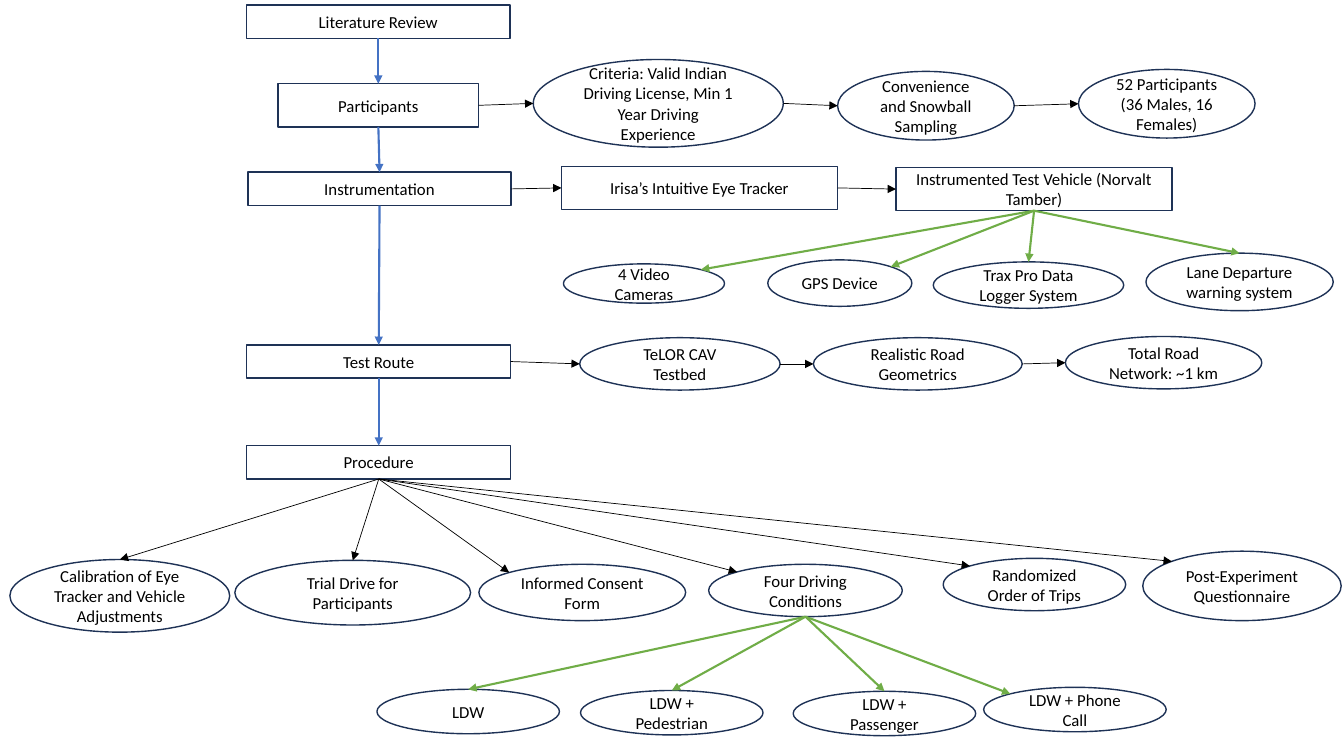
from dataclasses import dataclass
from enum import Enum
from math import sqrt

from lxml.etree import SubElement
from pptx import Presentation
from pptx.dml.color import RGBColor
from pptx.enum.shapes import MSO_CONNECTOR, MSO_SHAPE
from pptx.enum.text import MSO_ANCHOR, PP_ALIGN
from pptx.oxml.ns import qn
from pptx.shapes.autoshape import Shape
from pptx.slide import Slide
from pptx.util import Cm, Pt

FONT = "Calibri"
WHITE, BLACK, NAVY = "FFFFFF", "000000", "1E3256"
BLUE, GREEN = "4472C4", "70AD47"
RECT, OVAL = MSO_SHAPE.RECTANGLE, MSO_SHAPE.OVAL
DIAGONAL = sqrt(0.5) / 2


class Side(Enum):
    """Offset from the centre, as shares of width and height."""
    TOP = (0, -0.5)
    LEFT = (-0.5, 0)
    BOTTOM = (0, 0.5)
    RIGHT = (0.5, 0)
    TOP_LEFT = (-DIAGONAL, -DIAGONAL)
    TOP_RIGHT = (DIAGONAL, -DIAGONAL)


SITES = {
    RECT: {Side.TOP: 0, Side.LEFT: 1, Side.BOTTOM: 2, Side.RIGHT: 3},
    OVAL: {Side.TOP: 0, Side.TOP_LEFT: 1, Side.LEFT: 2, Side.BOTTOM: 4,
           Side.RIGHT: 6, Side.TOP_RIGHT: 7},
}


@dataclass(frozen=True)
class Node:
    """One labelled step; lengths in centimetres."""
    label: str
    left: float
    top: float
    width: float
    height: float
    outline: MSO_SHAPE = OVAL


@dataclass(frozen=True)
class Arrow:
    start: Node
    start_side: Side
    end: Node
    end_side: Side
    color: str = BLACK
    weight: float = 0.5


literature = Node("Literature Review", 6.22, 0.13, 6.63, 0.84, RECT)
participants = Node("Participants", 7.01, 2.11, 5.05, 1.09, RECT)
instrumentation = Node("Instrumentation", 6.25, 4.34, 6.63, 0.84, RECT)
test_route = Node("Test Route", 6.22, 8.69, 6.65, 0.84, RECT)
procedure = Node("Procedure", 6.22, 11.23, 6.65, 0.84, RECT)
stages = [literature, participants, instrumentation, test_route, procedure]

recruitment = [
    Node("Criteria: Valid Indian Driving License, Min 1 Year Driving Experience",
         13.44, 1.5, 6.3, 2.21),
    Node("Convenience and Snowball Sampling", 21.11, 1.8, 4.45, 1.73),
    Node("52 Participants (36 Males, 16 Females)", 27.18, 1.75, 4.45, 1.73),
]
eye_tracker = Node("Irisa’s Intuitive Eye Tracker", 14.15, 4.19, 6.96, 1.09, RECT)
vehicle = Node("Instrumented Test Vehicle (Norvalt Tamber)",
               22.58, 4.22, 6.96, 1.09, RECT)
road = [
    Node("TeLOR CAV Testbed", 14.61, 8.51, 5.05, 1.32),
    Node("Realistic Road Geometrics", 20.5, 8.51, 5.26, 1.32),
    Node("Total Road Network: ~1 km", 26.85, 8.48, 4.95, 1.32),
]
four_conditions = Node("Four Driving Conditions", 17.86, 14.22, 4.88, 1.32)

# Each branch pairs a node with the side its arrow reaches.
devices = [
    (Node("4 Video Cameras", 14.2, 6.65, 4.06, 0.99), Side.TOP_RIGHT),
    (Node("GPS Device", 19.35, 6.55, 3.63, 1.17), Side.TOP_RIGHT),
    (Node("Trax Pro Data Logger System", 23.52, 6.6, 4.8, 1.17), Side.TOP),
    (Node("Lane Departure warning system", 28.88, 6.38, 4.72, 1.45), Side.TOP),
]
procedure_steps = [
    (Node("Calibration of Eye Tracker and Vehicle Adjustments",
          0.25, 14.1, 5.54, 1.83), Side.TOP),
    (Node("Trial Drive for Participants", 5.92, 14.12, 5.94, 1.63), Side.TOP),
    (Node("Informed Consent Form", 12.07, 14.22, 5.21, 1.42), Side.TOP_LEFT),
    (four_conditions, Side.TOP_LEFT),
    (Node("Randomized Order of Trips", 23.77, 14.07, 4.6, 1.32), Side.TOP_LEFT),
    (Node("Post-Experiment Questionnaire", 28.8, 13.89, 5, 1.75), Side.TOP_LEFT),
]
conditions = [
    (Node("LDW", 9.5, 17.37, 4.6, 1.12), Side.TOP),
    (Node("LDW + Pedestrian", 14.63, 17.4, 4.6, 1.12), Side.TOP),
    (Node("LDW + Passenger", 19.99, 17.42, 4.6, 1.12), Side.TOP),
    (Node("LDW + Phone Call", 24.79, 17.32, 4.6, 1.12), Side.TOP_LEFT),
]


def rgb(color: str) -> RGBColor:
    return RGBColor.from_string(color)


def chain(nodes: list[Node], leave: Side, reach: Side, color: str = BLACK,
          weight: float = 0.5) -> list[Arrow]:
    """Link every node to the next one."""
    return [Arrow(start, leave, end, reach, color, weight)
            for start, end in zip(nodes, nodes[1:])]


def fan(source: Node, branches: list[tuple[Node, Side]], color: str = BLACK,
        weight: float = 0.5) -> list[Arrow]:
    """Link the bottom of one node to each branch."""
    return [Arrow(source, Side.BOTTOM, end, side, color, weight)
            for end, side in branches]


def draw_node(slide: Slide, node: Node) -> Shape:
    shape = slide.shapes.add_shape(node.outline, Cm(node.left), Cm(node.top),
                                   Cm(node.width), Cm(node.height))
    shape.shadow.inherit = False
    shape.fill.solid()
    shape.fill.fore_color.rgb = rgb(WHITE)
    shape.line.color.rgb = rgb(NAVY)
    shape.line.width = Pt(1)
    frame = shape.text_frame
    frame.word_wrap = True
    frame.vertical_anchor = MSO_ANCHOR.MIDDLE
    paragraph = frame.paragraphs[0]
    paragraph.alignment = PP_ALIGN.CENTER
    run = paragraph.add_run()
    run.text = node.label
    run.font.name = FONT
    run.font.size = Pt(12)
    run.font.color.rgb = rgb(BLACK)
    return shape


def site_point(node: Node, side: Side) -> tuple[Cm, Cm]:
    across, down = side.value
    return (Cm(node.left + node.width * (0.5 + across)),
            Cm(node.top + node.height * (0.5 + down)))


def draw_arrow(slide: Slide, arrow: Arrow, shapes: dict[Node, Shape]) -> None:
    connector = slide.shapes.add_connector(
        MSO_CONNECTOR.STRAIGHT,
        *site_point(arrow.start, arrow.start_side),
        *site_point(arrow.end, arrow.end_side))
    connector.line.color.rgb = rgb(arrow.color)
    connector.line.width = Pt(arrow.weight)
    SubElement(connector.line._get_or_add_ln(), qn("a:tailEnd"), type="triangle")
    SubElement(connector.element.spPr, qn("a:effectLst"))
    glue = connector.element.find(".//" + qn("p:cNvCxnSpPr"))
    for tag, node, side in (("a:stCxn", arrow.start, arrow.start_side),
                            ("a:endCxn", arrow.end, arrow.end_side)):
        SubElement(glue, qn(tag), id=str(shapes[node].shape_id),
                   idx=str(SITES[node.outline][side]))


def main() -> None:
    presentation = Presentation()
    presentation.slide_width, presentation.slide_height = Cm(33.87), Cm(19.05)
    slide = presentation.slides.add_slide(presentation.slide_layouts[6])

    branches = devices + procedure_steps + conditions
    nodes = [*stages, eye_tracker, vehicle, *recruitment, *road,
             *(node for node, _ in branches)]
    shapes = {node: draw_node(slide, node) for node in nodes}

    arrows = chain(stages, Side.BOTTOM, Side.TOP, BLUE, 1.5)
    for row in ([participants, *recruitment],
                [instrumentation, eye_tracker, vehicle],
                [test_route, *road]):
        arrows += chain(row, Side.RIGHT, Side.LEFT)
    arrows += fan(vehicle, devices, GREEN, 1.5)
    arrows += fan(procedure, procedure_steps)
    arrows += fan(four_conditions, conditions, GREEN, 1.5)
    for arrow in arrows:
        draw_arrow(slide, arrow, shapes)

    presentation.save("out.pptx")


if __name__ == "__main__":
    main()
